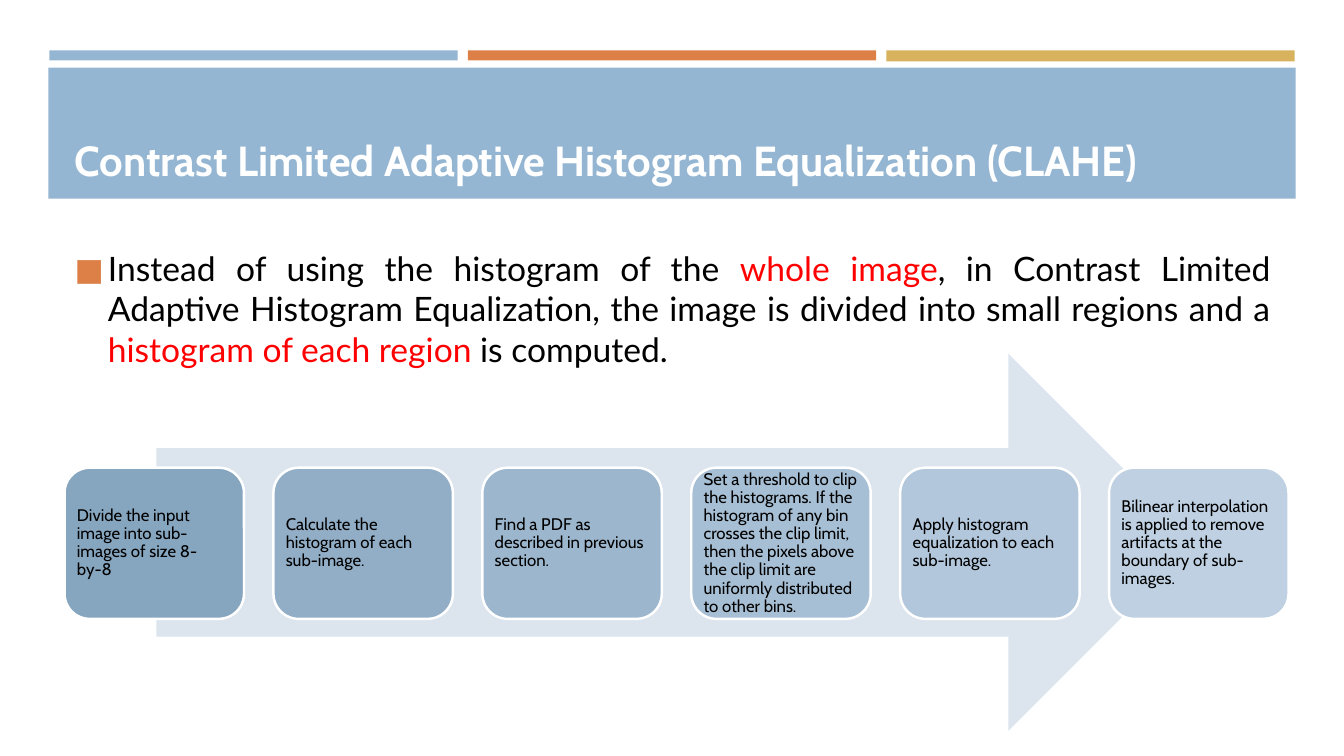
"""Build the slide on contrast limited adaptive histogram equalization."""
from lxml import etree
from pptx import Presentation, util as u
from pptx.dml.color import RGBColor
from pptx.enum import shapes, text
from pptx.oxml.ns import qn

BLUE, ORANGE, GOLD = "94B6D2", "DD8047", "D8B25C"
WHITE, BLACK, RED, PALE = "FFFFFF", "000000", "FF0000", "DCE5EE"

BARS = [(BLUE, 0.1), (ORANGE, 0.1), (GOLD, 0.11)]
SUMMARY = [
    ("Instead of using the histogram of the ", BLACK),
    ("whole image", RED),
    (", in Contrast Limited Adaptive Histogram Equalization, the image is "
     "divided into small regions and a ", BLACK),
    ("histogram of each region", RED),
    (" is computed.", BLACK),
]
STEPS = [
    ("86A5BF", "Divide the input image into sub-images of size 8-by-8"),
    ("91AEC6", "Calculate the histogram of each sub-image."),
    ("9CB6CD", "Find a PDF as described in previous section."),
    ("A7BFD4", "Set a threshold to clip the histograms. If the histogram of any "
               "bin crosses the clip limit, then the pixels above the clip limit "
               "are uniformly distributed to other bins."),
    ("B2C7DB", "Apply histogram equalization to each sub-image."),
    ("BED0E1", "Bilinear interpolation is applied to remove artifacts at the "
               "boundary of sub-images."),
]


def rgb(value):
    """Turn a hex string into a colour."""
    return RGBColor.from_string(value)


class Deck:
    """Hold the style and the current slide."""

    heading_font, body_font = "Cabin", "Lato"

    def __init__(self):
        """Open a wide deck with one title and content slide."""
        self.prs = Presentation()
        self.prs.slide_width, self.prs.slide_height = u.Inches(13.33), u.Inches(7.5)
        self.s = self.prs.slides.add_slide(self.prs.slide_layouts[1])

    def shape(self, kind, box, fill, line=None):
        """Add a flat filled preset shape."""
        sp = self.s.shapes.add_shape(kind, *map(u.Inches, box))
        sp.shadow.inherit = False
        sp.fill.solid()
        sp.fill.fore_color.rgb = rgb(fill)
        if line:
            sp.line.color.rgb = rgb(line)
            sp.line.width = u.Pt(1.75)
        else:
            sp.line.fill.background()
        return sp

    def frame(self, sp, anchor, insets):
        """Prepare the text frame of a shape and return its first paragraph."""
        tf = sp.text_frame
        tf.word_wrap = True
        tf.auto_size = text.MSO_AUTO_SIZE.NONE
        tf.vertical_anchor = anchor
        sides = map(u.Inches, insets)
        tf.margin_left, tf.margin_top, tf.margin_right, tf.margin_bottom = sides
        return tf.paragraphs[0]

    def run(self, p, words, size, font, color, bold=False):
        """Add one formatted run to a paragraph."""
        r = p.add_run()
        r.text = words
        r.font.size, r.font.name, r.font.bold = u.Pt(size), font, bold
        r.font.color.rgb = rgb(color)

    def place(self, sp, box):
        """Move a placeholder and bring it to the front."""
        sp.left, sp.top, sp.width, sp.height = map(u.Inches, box)
        sp.element.getparent().append(sp.element)

    def title(self, words, box):
        """Fill the title placeholder."""
        sp = self.s.shapes.title
        self.place(sp, box)
        p = self.frame(sp, text.MSO_ANCHOR.BOTTOM, (0.1, 0.05, 0.1, 0.05))
        p.alignment = text.PP_ALIGN.LEFT
        self.run(p, words, 30, self.heading_font, WHITE, True)

    def bullet(self, runs, box):
        """Fill the body placeholder with one justified bullet."""
        sp = self.s.placeholders[1]
        self.place(sp, box)
        p = self.frame(sp, text.MSO_ANCHOR.TOP, (0.1, 0.08, 0.1, 0.05))
        pPr = p._p.get_or_add_pPr()
        pPr.set("marL", str(u.Inches(0.33)))
        pPr.set("indent", str(u.Inches(-0.33)))
        color = etree.SubElement(pPr, qn("a:buClr"))
        etree.SubElement(color, qn("a:srgbClr"), val=ORANGE)
        etree.SubElement(pPr, qn("a:buSzPct"), val="92000")
        etree.SubElement(pPr, qn("a:buFont"), typeface=self.body_font)
        etree.SubElement(pPr, qn("a:buChar"), char="■")
        p.alignment = text.PP_ALIGN.JUSTIFY
        p.space_before, p.space_after = u.Pt(0), u.Pt(6)
        for words, hue in runs:
            self.run(p, words, 24, self.body_font, hue)

    def step(self, words, box, fill):
        """Add one rounded step box."""
        sp = self.shape(shapes.MSO_SHAPE.ROUNDED_RECTANGLE, box, fill, WHITE)
        p = self.frame(sp, text.MSO_ANCHOR.MIDDLE, (0.05,) * 4)
        p.alignment = text.PP_ALIGN.LEFT
        p.line_spacing = 0.9
        self.run(p, words, 12, self.heading_font, BLACK)


def main():
    """Draw the slide and save it."""
    deck = Deck()
    rect = shapes.MSO_SHAPE.RECTANGLE
    for i, (fill, height) in enumerate(BARS):
        deck.shape(rect, (0.49 + 4.15 * i, 0.5, 4.05, height), fill)
    deck.shape(rect, (0.48, 0.67, 12.37, 1.3), BLUE)
    deck.title("Contrast Limited Adaptive Histogram Equalization (CLAHE)",
               (0.64, 0.77, 12.06, 1.11))
    deck.bullet(SUMMARY, (0.64, 2.38, 12.06, 4.02))
    deck.shape(shapes.MSO_SHAPE.RIGHT_ARROW, (1.55, 3.51, 10.32, 3.74), PALE)
    pitch = (11 - 0.64) / (len(STEPS) - 1)
    for i, (fill, words) in enumerate(STEPS):
        deck.step(words, (0.64 + pitch * i, 4.64, 1.78, 1.5), fill)
    deck.prs.save("out.pptx")


if __name__ == "__main__":
    main()
